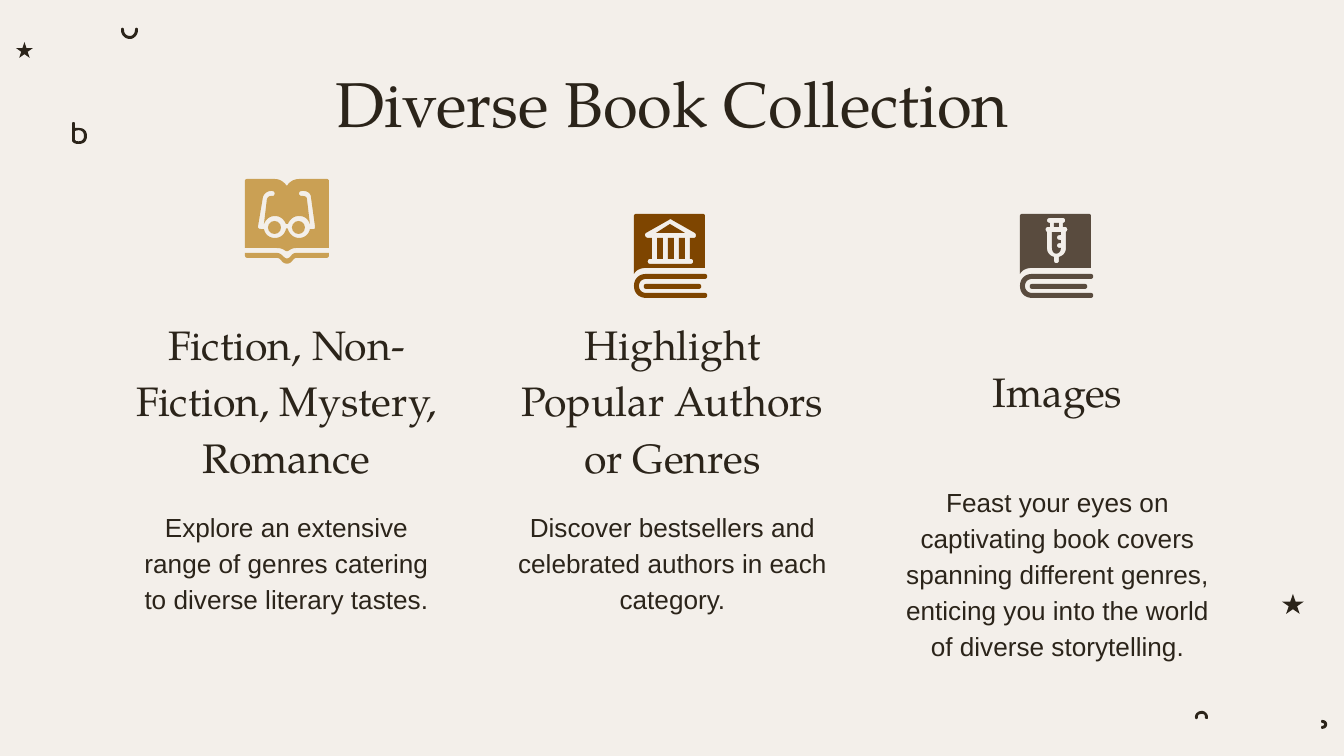
import pptx
import pptx.util
import pptx.dml.color
import pptx.enum.shapes
import pptx.enum.text
from dataclasses import dataclass


@dataclass(frozen=True)
class Theme:
    background: str = "F3EFEA"
    ink: str = "2B241A"
    gold: str = "CAA054"
    brown: str = "7E4500"
    taupe: str = "594B3E"
    display_font: str = "TeX Gyre Pagella"
    body_font: str = "Arial"
    title_size: int = 34
    heading_size: int = 22
    body_size: int = 14


theme = Theme()
PX = 914400 / 134.4
ANCHOR = pptx.enum.text.MSO_ANCHOR
SHAPE = pptx.enum.shapes.MSO_SHAPE

presentation = pptx.Presentation()
presentation.slide_width = round(1344 * PX)
presentation.slide_height = round(756 * PX)
slide = presentation.slides.add_slide(presentation.slide_layouts[5])
slide.background.fill.solid()
slide.background.fill.fore_color.rgb = pptx.dml.color.RGBColor.from_string(theme.background)


def write_text(text, *, box, size, font, anchor=ANCHOR.TOP, spacing=1.0, shape=None):
    left, top, width, height = [round(value * PX) for value in box]
    if shape is None:
        shape = slide.shapes.add_textbox(left, top, width, height)
    shape.left, shape.top, shape.width, shape.height = left, top, width, height
    frame = shape.text_frame
    frame.word_wrap = True
    frame.auto_size = pptx.enum.text.MSO_AUTO_SIZE.NONE
    frame.vertical_anchor = anchor
    frame.margin_left = frame.margin_right = pptx.util.Inches(0.1)
    frame.margin_top = frame.margin_bottom = pptx.util.Inches(0.1)
    paragraph = frame.paragraphs[0]
    paragraph.alignment = pptx.enum.text.PP_ALIGN.CENTER
    paragraph.line_spacing = spacing
    run = paragraph.add_run()
    run.text = text
    run.font.size = pptx.util.Pt(size)
    run.font.name = font
    run.font.color.rgb = pptx.dml.color.RGBColor.from_string(theme.ink)


def draw_outline(path, left, top, color):
    contours = []
    for command in path.replace("Z", "").replace("M", "|M").replace("L", "|L").replace("C", "|C").split("|")[1:]:
        points = [tuple(map(int, pair.split(","))) for pair in command[1:].split()]
        if command[0] == "M":
            contours.append(points)
        elif command[0] == "L":
            contours[-1] += points
        else:
            curve = [contours[-1][-1]] + points
            for step in range(1, 9):
                t = step / 8
                weights = ((1 - t) ** 3, 3 * t * (1 - t) ** 2, 3 * t * t * (1 - t), t ** 3)
                contours[-1].append(tuple(
                    sum(weight * point[axis] for weight, point in zip(weights, curve)) for axis in (0, 1)))
    builder = None
    for contour in contours:
        points = [((left + x) * PX, (top + y) * PX) for x, y in contour]
        if builder is None:
            builder = slide.shapes.build_freeform(*points[0], scale=1.0)
        else:
            builder.move_to(*points[0])
        builder.add_line_segments(points[1:], close=True)
    shape = builder.convert_to_shape()
    shape.shadow.inherit = False
    shape.fill.solid()
    shape.fill.fore_color.rgb = pptx.dml.color.RGBColor.from_string(color)
    shape.line.fill.background()


hook = "M1,9 C0,9 0,6 1,6 C4,6 4,3 1,3 C0,3 0,0 1,0 C8,0 8,9 1,9 Z"
cap = ("M12,8 C10,8 10,7 10,6 C10,4 9,3 7,3 C4,3 3,4 3,6 C3,9 0,9 0,6 "
       "C0,3 3,0 7,0 C10,0 13,3 13,6 C13,7 13,8 12,8 Z")
cup = ("M9,11 C13,11 17,7 17,2 C17,-1 14,-1 14,2 C14,5 12,8 9,8 "
       "C5,8 3,5 3,2 C3,-1 0,-1 0,2 C0,7 4,11 9,11 Z")
letter_b = ("M3,6 L3,1 C3,0 0,0 0,1 L0,19 C2,22 5,22 7,22 C12,22 15,19 15,14 "
            "C15,9 12,6 7,6 C6,6 4,6 3,6 Z M3,9 C8,7 12,9 12,14 C12,19 8,20 4,19 L3,18 Z")
for path, left, top in ((hook, 1321, 720), (cap, 1195, 711), (cup, 121, 28), (letter_b, 72, 122)):
    draw_outline(path, left, top, theme.ink)

stars = ((SHAPE.STAR_5_POINT, 1282, 594, 22, 20, theme.ink),
         (SHAPE.STAR_5_POINT, 16, 42, 17, 16, theme.ink))

write_text("Diverse Book Collection", box=(106, 60, 1133, 85), size=theme.title_size,
           font=theme.display_font, anchor=ANCHOR.MIDDLE, shape=slide.shapes.title)

columns = (
    (117, 359, 493, "Fiction, Non-Fiction, Mystery, Romance",
     "Explore an extensive range of genres catering to diverse literary tastes."),
    (503, 359, 493, "Highlight Popular Authors or Genres",
     "Discover bestsellers and celebrated authors in each category."),
    (888, 293, 468, "Images",
     "Feast your eyes on captivating book covers spanning different genres, "
     "enticing you into the world of diverse storytelling."),
)
for left, heading_top, body_top, heading, body in columns:
    write_text(heading, box=(left, heading_top, 339, 136), size=theme.heading_size,
               font=theme.display_font, anchor=ANCHOR.BOTTOM, spacing=1.15)
    write_text(body, box=(left, body_top, 339, 149), size=theme.body_size,
               font=theme.body_font, spacing=1.15)

open_book_base = (
    "M51,74 C48,74 47,76 45,78 C43,80 41,80 39,78 C37,76 35,74 32,74 L0,74 L0,76 "
    "C0,78 1,79 3,79 L32,79 C34,79 35,80 36,81 C39,86 45,86 48,81 C49,80 50,79 51,79 "
    "L81,79 C83,79 84,78 84,76 L84,74 Z")
open_book_pages = (
    "M54,0 C49,0 44,3 42,7 C39,3 35,0 30,0 L2,0 C1,0 0,1 0,2 L0,69 L32,69 "
    "C37,69 39,71 41,72 L43,72 C45,71 47,69 51,69 L84,69 L84,2 C84,1 83,0 82,0 Z ")
glasses = (
    "M69,50 L65,50 C64,55 60,59 54,59 C49,59 44,55 43,50 C42,49 42,49 41,50 "
    "C40,55 36,59 30,59 C24,59 20,55 19,50 L16,50 C14,50 13,49 13,48 L18,18 "
    "C19,15 22,12 26,12 L27,12 C31,12 30,17 28,17 L26,17 C24,17 23,18 22,20 L19,45 "
    "C21,40 25,37 30,37 C35,37 39,40 41,45 L43,45 C45,40 49,37 54,37 C60,37 63,40 65,45 "
    "L62,20 C62,18 60,17 58,17 L57,17 C53,17 53,12 57,12 L59,12 C63,12 66,15 66,18 "
    "L70,47 C70,49 70,50 69,50 Z")
for path in (open_book_base, open_book_pages + glasses):
    draw_outline(path, 245, 179, theme.gold)

page = "M65,70 L12,70 C9,70 9,75 12,75 L65,75 C68,75 68,70 65,70 Z"
spine = (
    "M71,84 L12,84 C5,84 0,79 0,72 C0,65 5,60 12,60 L71,60 C74,60 74,65 71,65 L12,65 "
    "C8,65 5,68 5,72 C5,76 8,79 12,79 L71,79 C74,79 74,84 71,84 Z")
cover = "M69,0 L2,0 C1,0 0,1 0,2 L0,60 C2,56 7,54 12,54 L71,54 L71,2 C71,1 70,0 69,0 Z "
temple = (
    "M62,22 C62,23 61,24 60,24 L56,24 L56,45 L57,45 C60,45 60,50 57,50 L16,50 "
    "C13,50 13,45 16,45 L18,45 L18,24 L14,24 C11,24 10,20 12,19 L35,6 C36,5 37,5 38,6 "
    "L61,19 C62,20 62,21 62,22 Z")
gable = "M22,19 L51,19 L36,10 Z"
syringe = (
    "M46,18 L46,34 C46,39 43,42 39,43 L39,47 C39,50 34,50 34,47 L34,43 C30,42 27,39 27,34 "
    "L27,18 C25,17 25,13 28,13 L30,13 L30,9 C26,9 26,4 30,4 L43,4 C46,4 46,9 43,9 L43,13 "
    "L45,13 C48,13 48,17 46,18 Z")
liquid = (
    "M32,18 L32,34 C32,42 41,41 41,34 L40,34 C36,34 36,29 40,29 L41,29 L41,26 L40,26 "
    "C36,26 36,21 40,21 L41,21 L41,18 Z")
for left, color, cutout, detail in ((634, theme.brown, temple, gable),
                                    (1020, theme.taupe, syringe, liquid)):
    for path in (page, spine, detail, cover + cutout):
        draw_outline(path, left, 214, color)

lenses = [(SHAPE.OVAL, 268 + 24 * index, 221, 13, 13, theme.gold) for index in range(2)]
pillars = [(SHAPE.RECTANGLE, 657 + 11 * index, 238, 6, 21, theme.brown) for index in range(3)]
plunger = (SHAPE.RECTANGLE, 1054, 223, 5, 4, theme.taupe)
for kind, left, top, width, height, color in (*stars, *lenses, *pillars, plunger):
    shape = slide.shapes.add_shape(kind, *[round(value * PX) for value in (left, top, width, height)])
    shape.shadow.inherit = False
    shape.fill.solid()
    shape.fill.fore_color.rgb = pptx.dml.color.RGBColor.from_string(color)
    shape.line.fill.background()

presentation.save("out.pptx")
